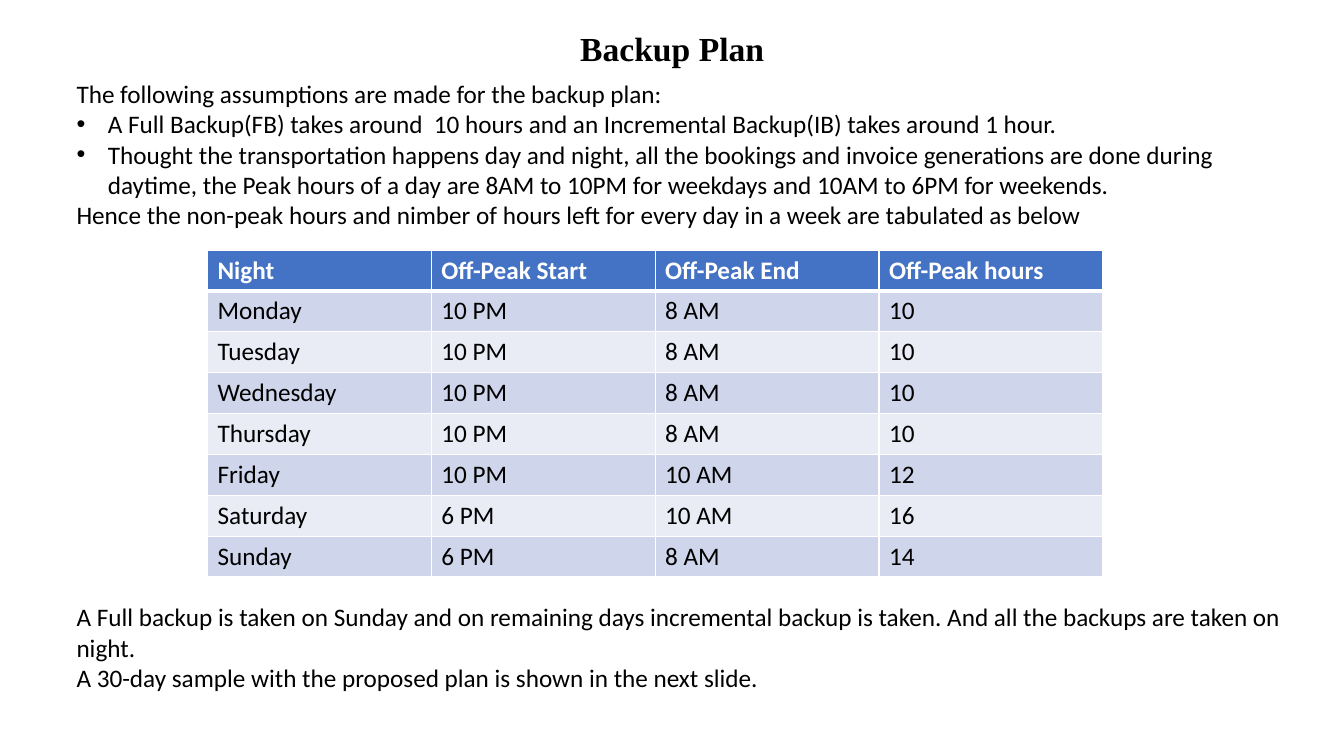
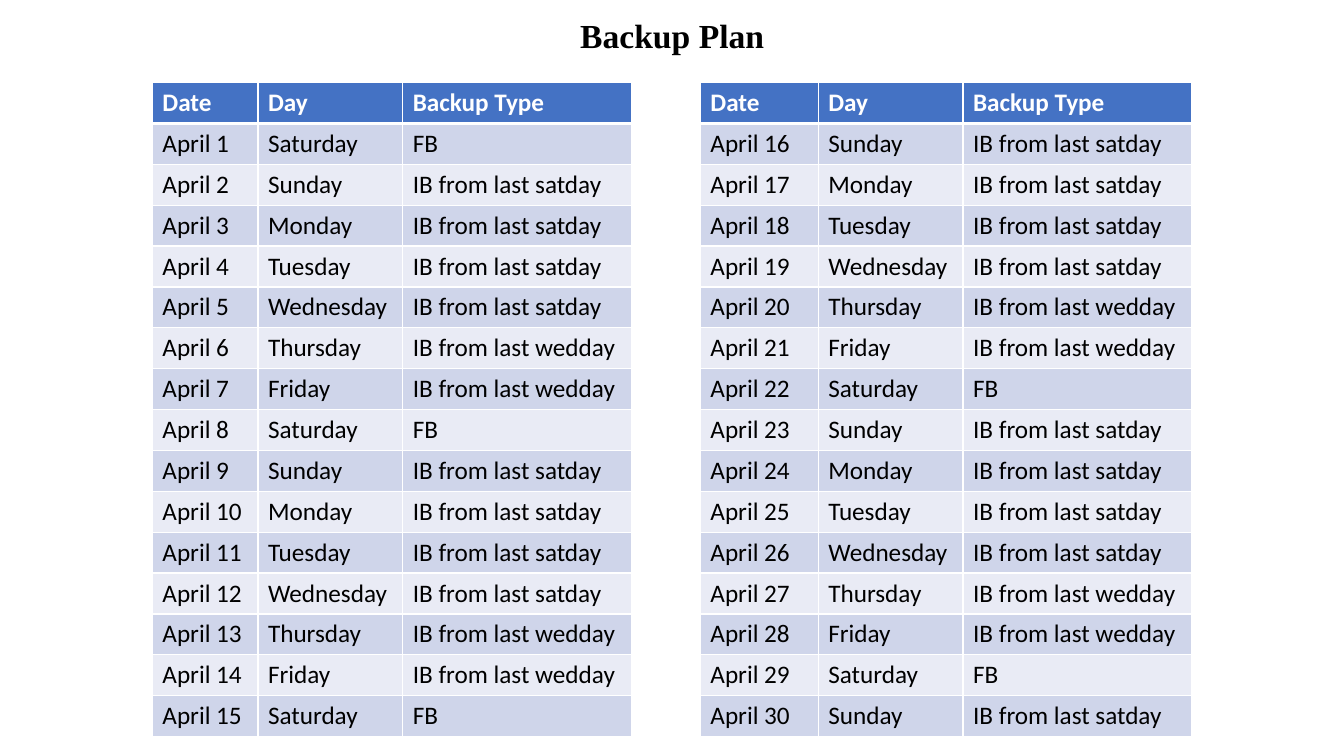
from lxml.etree import SubElement
from pptx import Presentation
from pptx.dml.color import RGBColor
from pptx.enum.text import MSO_ANCHOR, MSO_AUTO_SIZE, PP_ALIGN
from pptx.oxml.ns import qn
from pptx.util import Cm, Pt

BLACK, WHITE, HEADER_BLUE = "000000", "FFFFFF", "4472C4"
BANDS = ("CFD5EA", "E9EBF5")
TITLE_FONT, BODY_FONT = "Times New Roman", "Calibri"
TITLE_LEFT, TITLE_WIDTH, TITLE_HEIGHT = 0.38, 33.12, 1.27
ROW_HEIGHT = 1.03
BULLET_INDENT = 0.79

INTRO = (
    ("The following assumptions are made for the backup plan:", False),
    ("A Full Backup(FB) takes around  10 hours and an Incremental Backup(IB) takes around 1 hour.", True),
    ("Thought the transportation happens day and night, all the bookings and invoice generations are "
     "done during daytime, the Peak hours of a day are 8AM to 10PM for weekdays and 10AM to 6PM for "
     "weekends.", True),
    ("Hence the non-peak hours and nimber of hours left for every day in a week are tabulated as below", False),
)
CLOSING = (
    ("A Full backup is taken on Sunday and on remaining days incremental backup is taken. "
     "And all the backups are taken on night.", False),
    ("A 30-day sample with the proposed plan is shown in the next slide.", False),
)
OFF_PEAK = (
    ("Night", "Off-Peak Start", "Off-Peak End", "Off-Peak hours"),
    ("Monday", "10 PM", "8 AM", "10"),
    ("Tuesday", "10 PM", "8 AM", "10"),
    ("Wednesday", "10 PM", "8 AM", "10"),
    ("Thursday", "10 PM", "8 AM", "10"),
    ("Friday", "10 PM", "10 AM", "12"),
    ("Saturday", "6 PM", "10 AM", "16"),
    ("Sunday", "6 PM", "8 AM", "14"),
)
SINCE_SATURDAY, SINCE_WEDNESDAY = "IB from last satday", "IB from last wedday"
WEEK_CYCLE = (
    ("Saturday", "FB"),
    ("Sunday", SINCE_SATURDAY),
    ("Monday", SINCE_SATURDAY),
    ("Tuesday", SINCE_SATURDAY),
    ("Wednesday", SINCE_SATURDAY),
    ("Thursday", SINCE_WEDNESDAY),
    ("Friday", SINCE_WEDNESDAY),
)


def color(hex_text):
    return RGBColor.from_string(hex_text)


def write(para, text, size=18, font=BODY_FONT, fill=BLACK, bold=False, align=PP_ALIGN.LEFT):
    para.alignment = align
    span = para.add_run()
    span.text = text
    span.font.size = Pt(size)
    span.font.name = font
    span.font.bold = bold
    span.font.color.rgb = color(fill)


def add_bullet(para):
    props = para._p.get_or_add_pPr()
    props.set("marL", str(Cm(BULLET_INDENT)))
    props.set("indent", str(-Cm(BULLET_INDENT)))
    SubElement(props, qn("a:buFont"), typeface="Arial")
    SubElement(props, qn("a:buChar"), char="•")


def add_page(deck, title_top):
    """Add a title-only slide with the shared title."""
    page = deck.slides.add_slide(deck.slide_layouts[5])
    title = page.shapes.title
    title.left, title.top = Cm(TITLE_LEFT), Cm(title_top)
    title.width, title.height = Cm(TITLE_WIDTH), Cm(TITLE_HEIGHT)
    frame = title.text_frame
    frame.word_wrap = True
    frame.auto_size = MSO_AUTO_SIZE.SHAPE_TO_FIT_TEXT
    frame.vertical_anchor = MSO_ANCHOR.TOP
    write(frame.paragraphs[0], "Backup Plan", size=24, font=TITLE_FONT, bold=True, align=PP_ALIGN.CENTER)
    return page


def add_text(page, left, top, width, height, lines):
    """Place (text, bulleted) lines in a wrapping box."""
    box = page.shapes.add_textbox(Cm(left), Cm(top), Cm(width), Cm(height))
    frame = box.text_frame
    frame.word_wrap = True
    frame.auto_size = MSO_AUTO_SIZE.SHAPE_TO_FIT_TEXT
    for index, (text, bulleted) in enumerate(lines):
        para = frame.add_paragraph() if index else frame.paragraphs[0]
        if bulleted:
            add_bullet(para)
        write(para, text)


def set_borders(cell, top=1, bottom=1):
    props = cell._tc.get_or_add_tcPr()
    for side, points in (("L", 1), ("R", 1), ("T", top), ("B", bottom)):
        line = SubElement(props, qn(f"a:ln{side}"), w=str(Pt(points)))
        SubElement(SubElement(line, qn("a:solidFill")), qn("a:srgbClr"), val=WHITE)


def add_banded_table(page, left, top, widths, rows):
    frame = page.shapes.add_table(len(rows), len(widths), Cm(left), Cm(top),
                                  Cm(sum(widths)), Cm(ROW_HEIGHT * len(rows)))
    table = frame.table
    table.horz_banding = False
    for column, width in zip(table.columns, widths):
        column.width = Cm(width)
    for row_index, texts in enumerate(rows):
        table.rows[row_index].height = Cm(ROW_HEIGHT)
        header = row_index == 0
        for column_index, text in enumerate(texts):
            cell = table.cell(row_index, column_index)
            set_borders(cell, top=3 if row_index == 1 else 1, bottom=3 if header else 1)
            cell.fill.solid()
            cell.fill.fore_color.rgb = color(HEADER_BLUE if header else BANDS[(row_index - 1) % 2])
            write(cell.text_frame.paragraphs[0], text, fill=WHITE if header else BLACK, bold=header)


def schedule(first, last):
    """List the April backups from the first to the last date, under a heading row."""
    days = [(f"April {date}", *WEEK_CYCLE[(date - 1) % len(WEEK_CYCLE)])
            for date in range(first, last + 1)]
    return [("Date", "Day", "Backup Type"), *days]


def build_assumptions(deck):
    page = add_page(deck, 0.58)
    add_text(page, 1.68, 1.85, 30.89, 4.11, INTRO)
    add_banded_table(page, 5.23, 6.3, [5.64] * 4, OFF_PEAK)
    add_text(page, 1.68, 15.04, 30.89, 2.57, CLOSING)


def build_schedule(deck):
    page = add_page(deck, 0.25)
    for left, date_width, first, last in ((3.84, 2.66, 1, 15), (17.65, 2.97, 16, 30)):
        add_banded_table(page, left, 2.08, (date_width, 3.65, 5.77), schedule(first, last))


def main():
    deck = Presentation()
    deck.slide_width, deck.slide_height = Cm(33.87), Cm(19.05)
    build_assumptions(deck)
    build_schedule(deck)
    deck.save("out.pptx")


if __name__ == "__main__":
    main()
